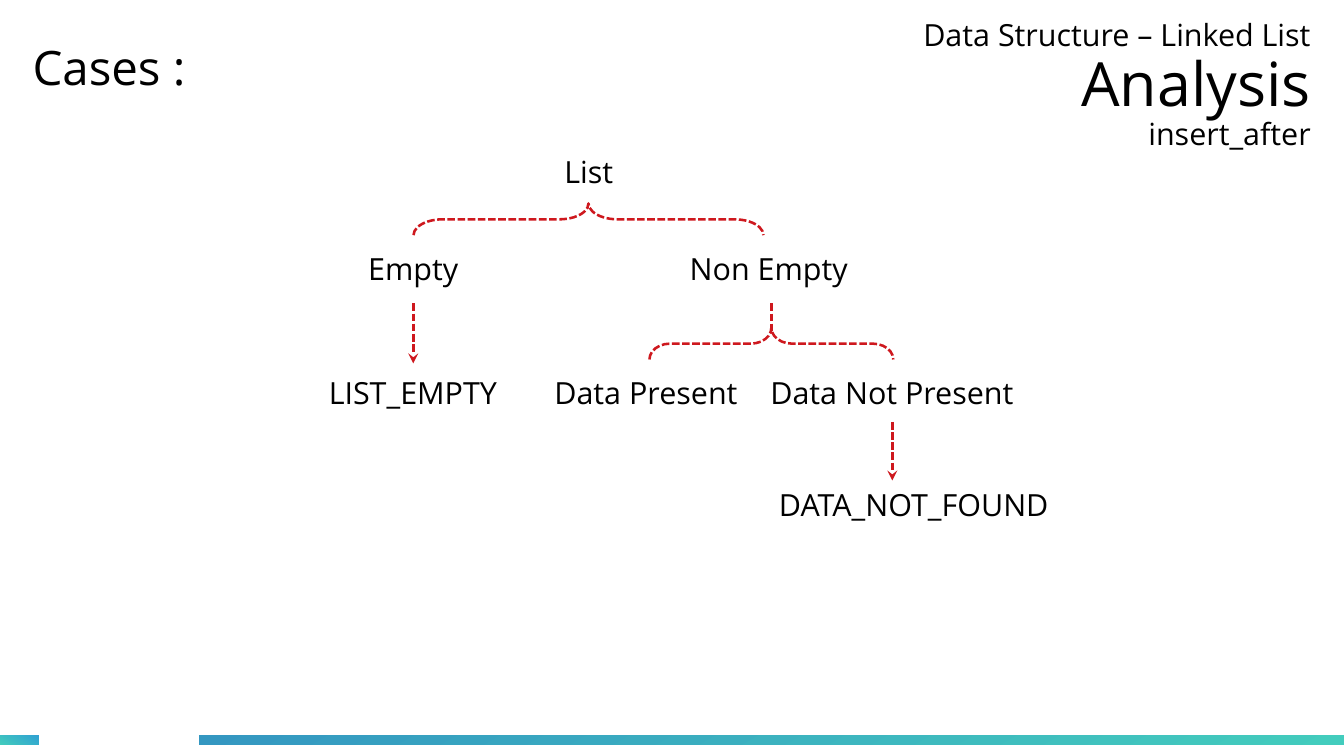
from typing import NamedTuple

from lxml import etree
from pptx import Presentation
from pptx import util as u
from pptx.dml.color import RGBColor
from pptx.enum import dml, shapes, text
from pptx.oxml.ns import qn

FONT = "Open Sans"
BLACK = "000000"
RED = "CE181E"
LABEL_HEIGHT = 1.12
BRACE_DEPTH = 0.66


class Label(NamedTuple):
    words: str
    left: float
    top: float
    width: float


class Brace(NamedTuple):
    center_x: float
    center_y: float
    length: float
    curve: float


class Branch(NamedTuple):
    x: float
    top: float
    bottom: float
    arrow: bool


class Bar(NamedTuple):
    left: float
    width: float
    start: str
    end: str
    angle: float


LABELS = [
    Label("List", 11.51, 3.07, 1.63),
    Label("Empty", 7.42, 5.08, 2.54),
    Label("Non Empty", 14.12, 5.08, 4.01),
    Label("LIST_EMPTY", 6.6, 7.67, 4.39),
    Label("Data Present", 11.3, 7.67, 4.6),
    Label("Data Not Present", 15.8, 7.67, 5.92),
    Label("DATA_NOT_FOUND", 15.98, 10.01, 6.43),
]
BRACES = [Brace(12.26, 4.57, 7.29, 0.92), Brace(16.07, 7.16, 5.08, 0.65)]
BRANCHES = [
    Branch(8.61, 6.32, 7.57, True),
    Branch(16.07, 6.32, 6.91, False),
    Branch(18.59, 8.79, 10.01, True),
]
BARS = [
    Bar(0, 0.81, "43CCBD", "30A2D2", 60),
    Bar(4.14, 23.88, "3497C1", "43CCBD", 300),
]


def color(hex_code: str) -> RGBColor:
    return RGBColor.from_string(hex_code)


def add_run(p, words: str, size: float) -> None:
    r = p.add_run()
    r.text = words
    r.font.name = FONT
    r.font.size = u.Pt(size)
    r.font.color.rgb = color(BLACK)


def add_text_box(slide, left: float, top: float, width: float, height: float, wrap: bool):
    tf = slide.shapes.add_textbox(u.Cm(left), u.Cm(top), u.Cm(width), u.Cm(height)).text_frame
    tf.word_wrap = wrap
    return tf


def add_title(slide) -> None:
    tf = add_text_box(slide, 19, -0.36, 8.31, 4.32, True)
    tf.margin_left = tf.margin_top = tf.margin_right = tf.margin_bottom = 0
    tf.vertical_anchor = text.MSO_ANCHOR.MIDDLE
    p = tf.paragraphs[0]
    p.alignment = text.PP_ALIGN.RIGHT
    p.line_spacing = 0.9
    add_run(p, "Data Structure – Linked List", 18)
    p.add_line_break()
    add_run(p, "Analysis", 36)
    p.add_line_break()
    add_run(p, "insert_after", 18)


def add_label(slide, label: Label) -> None:
    tf = add_text_box(slide, label.left, label.top, label.width, LABEL_HEIGHT, False)
    tf.auto_size = text.MSO_AUTO_SIZE.SHAPE_TO_FIT_TEXT
    add_run(tf.paragraphs[0], label.words, 18)


def style_line(line) -> None:
    line.color.rgb = color(RED)
    line.width = u.Pt(1.5)
    line.dash_style = dml.MSO_LINE.SQUARE_DOT


def add_brace(slide, brace: Brace) -> None:
    """Draw a brace that opens downwards: a left brace turned a quarter."""
    sp = slide.shapes.add_shape(
        shapes.MSO_SHAPE.LEFT_BRACE,
        u.Cm(brace.center_x - BRACE_DEPTH / 2), u.Cm(brace.center_y - brace.length / 2),
        u.Cm(BRACE_DEPTH), u.Cm(brace.length))
    sp.rotation = 90
    sp.adjustments[0] = brace.curve
    sp.shadow.inherit = False
    sp.fill.background()
    style_line(sp.line)


def add_branch(slide, branch: Branch) -> None:
    cx = slide.shapes.add_connector(
        shapes.MSO_CONNECTOR.STRAIGHT,
        u.Cm(branch.x), u.Cm(branch.top), u.Cm(branch.x), u.Cm(branch.bottom))
    style_line(cx.line)
    if branch.arrow:
        ln = cx.line._get_or_add_ln()
        etree.SubElement(ln, qn("a:tailEnd"), type="stealth")
    etree.SubElement(cx._element.spPr, qn("a:effectLst"))


def add_bar(slide, bar: Bar) -> None:
    sp = slide.shapes.add_shape(
        shapes.MSO_SHAPE.RECTANGLE,
        u.Cm(bar.left), u.Cm(15.32), u.Cm(bar.width), u.Cm(0.2))
    sp.shadow.inherit = False
    sp.line.fill.background()
    sp.fill.gradient()
    sp.fill.gradient_angle = bar.angle
    for stop, hex_code in zip(sp.fill.gradient_stops, (bar.start, bar.end)):
        stop.color.rgb = color(hex_code)


def main() -> None:
    prs = Presentation()
    prs.slide_width, prs.slide_height = u.Cm(28), u.Cm(15.75)
    slide = prs.slides.add_slide(prs.slide_layouts[6])
    for bar in BARS:
        add_bar(slide, bar)
    add_title(slide)
    cases = add_text_box(slide, 0.43, 0.66, 4.75, 1.75, True)
    add_run(cases.paragraphs[0], "Cases :", 28)
    for label in LABELS:
        add_label(slide, label)
    for brace in BRACES:
        add_brace(slide, brace)
    for branch in BRANCHES:
        add_branch(slide, branch)
    prs.save("out.pptx")


if __name__ == "__main__":
    main()
